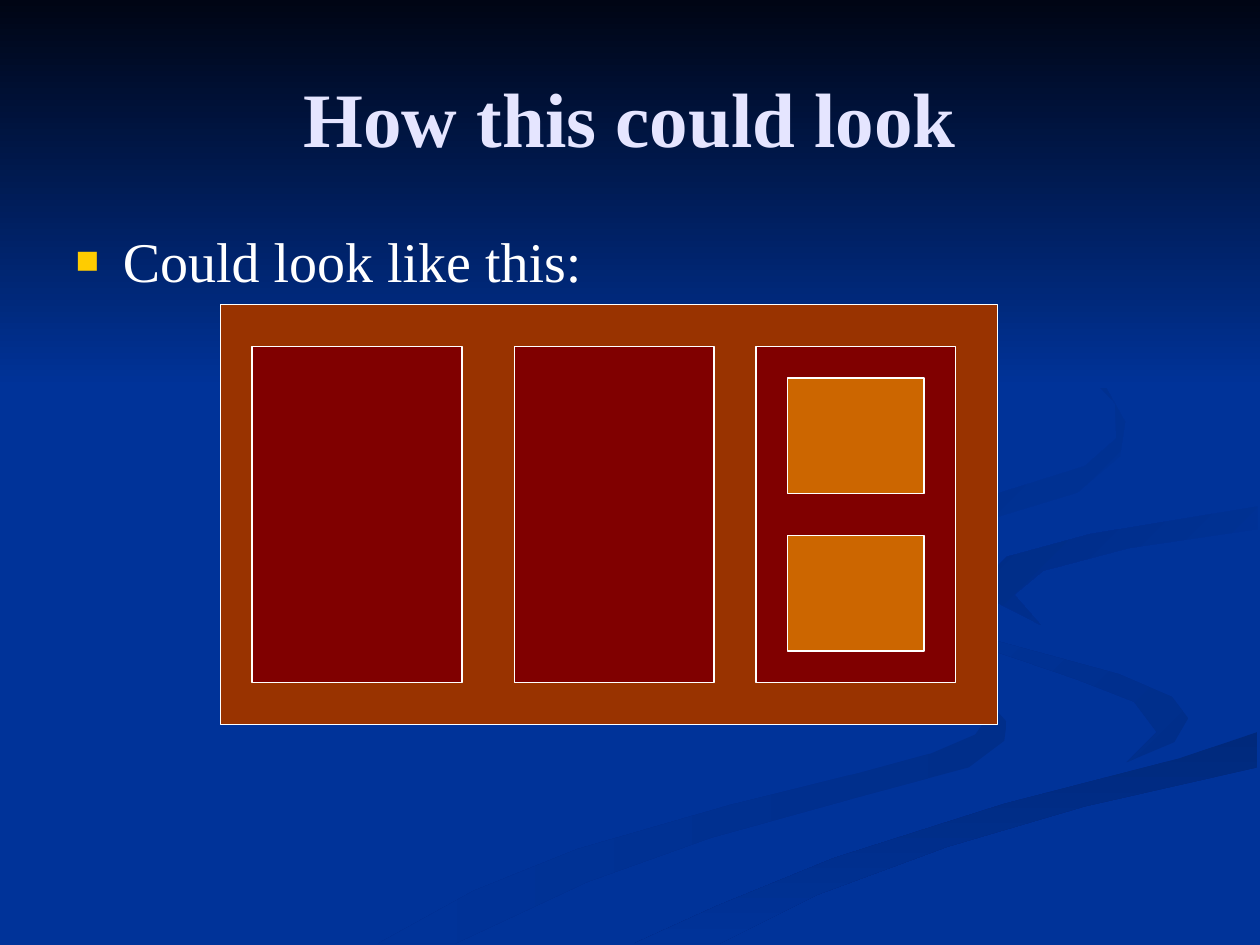
from typing import NamedTuple

from lxml import etree
from pptx import Presentation
from pptx import util as u
from pptx.dml.color import RGBColor
from pptx.enum import shapes, text
from pptx.oxml.ns import qn

FONT = "Times New Roman"
BLUE = "003399"
WHITE = "FFFFFF"
GRID = 0.72  # points per unit of the ribbon outlines


class Ribbon(NamedTuple):
    outline: list[tuple[int, int]]
    start: str
    end: str
    angle: int  # counter-clockwise degrees


class Box(NamedTuple):
    left: float
    top: float
    width: float
    height: float
    fill: str


RIBBONS = [
    Ribbon([(781, 553), (575, 459), (781, 556), (786, 566), (774, 583), (739, 598),
            (684, 613), (579, 639), (458, 674), (376, 707), (300, 749), (361, 749),
            (466, 700), (564, 665), (676, 634), (769, 609), (797, 588), (799, 573)],
           "002E8A", BLUE, 180),
    Ribbon([(943, 570), (930, 553), (888, 535), (792, 509), (724, 464), (755, 505),
            (854, 539), (900, 557), (918, 581), (894, 605), (932, 589)],
           "002E8A", BLUE, 135),
    Ribbon([(503, 749), (571, 749), (649, 710), (752, 672), (861, 640), (998, 609),
            (998, 581), (936, 602), (797, 638), (662, 681), (569, 719)],
           "00297C", BLUE, 270),
    Ribbon([(781, 460), (791, 478), (826, 496), (805, 472), (828, 453), (896, 435),
            (998, 420), (998, 402), (865, 424), (799, 442)],
           BLUE, "002C85", 135),
    Ribbon([(683, 430), (786, 412), (855, 391), (889, 362), (893, 335), (873, 299),
            (821, 261), (762, 233), (846, 279), (885, 320), (886, 348), (861, 370),
            (791, 392), (625, 426), (577, 462), (622, 500), (593, 470)],
           BLUE, "002B81", 135),
    Ribbon([(0, 0), (0, 308), (1000, 308), (1000, 0)], "000514", BLUE, 270),
]

PANEL = Box(126, 174, 444, 240, "993300")
COLUMNS = [Box(left, 198, width, 192, "800000")
           for left, width in ((144, 120), (294, 114), (432, 114))]
TILES = [Box(450, 216 + row * 90, 78, 66, "CC6600") for row in range(2)]


def color(value: str) -> RGBColor:
    return RGBColor.from_string(value)


def draw_ribbon(slide, ribbon: Ribbon) -> None:
    builder = slide.shapes.build_freeform(*ribbon.outline[0], scale=u.Pt(GRID))
    builder.add_line_segments(ribbon.outline[1:], close=True)
    shape = builder.convert_to_shape()
    shape.shadow.inherit = False
    shape.line.fill.background()
    shape.fill.gradient()
    shape.fill.gradient_angle = ribbon.angle
    stops = zip(shape.fill.gradient_stops, (ribbon.start, ribbon.end))
    for position, (stop, value) in enumerate(stops):
        stop.position = position
        stop.color.rgb = color(value)


def draw_box(slide, box: Box) -> None:
    shape = slide.shapes.add_shape(shapes.MSO_SHAPE.RECTANGLE, *map(u.Pt, box[:4]))
    shape.shadow.inherit = False
    shape.fill.solid()
    shape.fill.fore_color.rgb = color(box.fill)
    shape.line.color.rgb = color(WHITE)
    shape.line.width = u.Pt(0.75)


def place_placeholder(shape, frame: tuple, words: str, anchor):
    """Move the placeholder in front of what is drawn so far and return its paragraph."""
    shape.element.getparent().append(shape.element)
    shape.left, shape.top, shape.width, shape.height = map(u.Pt, frame)
    shape.text_frame.text = words
    shape.text_frame.auto_size = text.MSO_AUTO_SIZE.NONE
    shape.text_frame.vertical_anchor = anchor
    paragraph = shape.text_frame.paragraphs[0]
    paragraph.space_before = u.Pt(0)
    return paragraph


def set_font(paragraph, size: float, value: str, bold: bool) -> None:
    paragraph.font.name = FONT
    paragraph.font.size = u.Pt(size)
    paragraph.font.bold = bold
    paragraph.font.color.rgb = color(value)


def add_bullet(paragraph, indent: float) -> None:
    properties = paragraph._p.get_or_add_pPr()
    properties.set("marL", str(u.Pt(indent)))
    properties.set("indent", str(u.Pt(-indent)))
    bullet_color = etree.SubElement(properties, qn("a:buClr"))
    etree.SubElement(bullet_color, qn("a:srgbClr"), val="FFCC00")
    etree.SubElement(properties, qn("a:buSzPct"), val="70000")
    etree.SubElement(properties, qn("a:buFont"), typeface=FONT)
    etree.SubElement(properties, qn("a:buChar"), char="■")


def main() -> None:
    presentation = Presentation()
    presentation.slide_width, presentation.slide_height = u.Pt(720), u.Pt(540)
    slide = presentation.slides.add_slide(presentation.slide_layouts[1])
    slide.background.fill.solid()
    slide.background.fill.fore_color.rgb = color(BLUE)
    for ribbon in RIBBONS:
        draw_ribbon(slide, ribbon)

    title = place_placeholder(slide.shapes.title, (36, 21.6, 648, 90),
                              "How this could look", text.MSO_ANCHOR.MIDDLE)
    title.alignment = text.PP_ALIGN.CENTER
    set_font(title, 44, "E5E5FF", True)
    body = place_placeholder(slide.placeholders[1], (36, 126, 648, 356.4),
                             "Could look like this:", text.MSO_ANCHOR.TOP)
    add_bullet(body, 27)
    set_font(body, 32, WHITE, False)

    for box in [PANEL, *COLUMNS, *TILES]:
        draw_box(slide, box)
    presentation.save("out.pptx")


if __name__ == "__main__":
    main()
